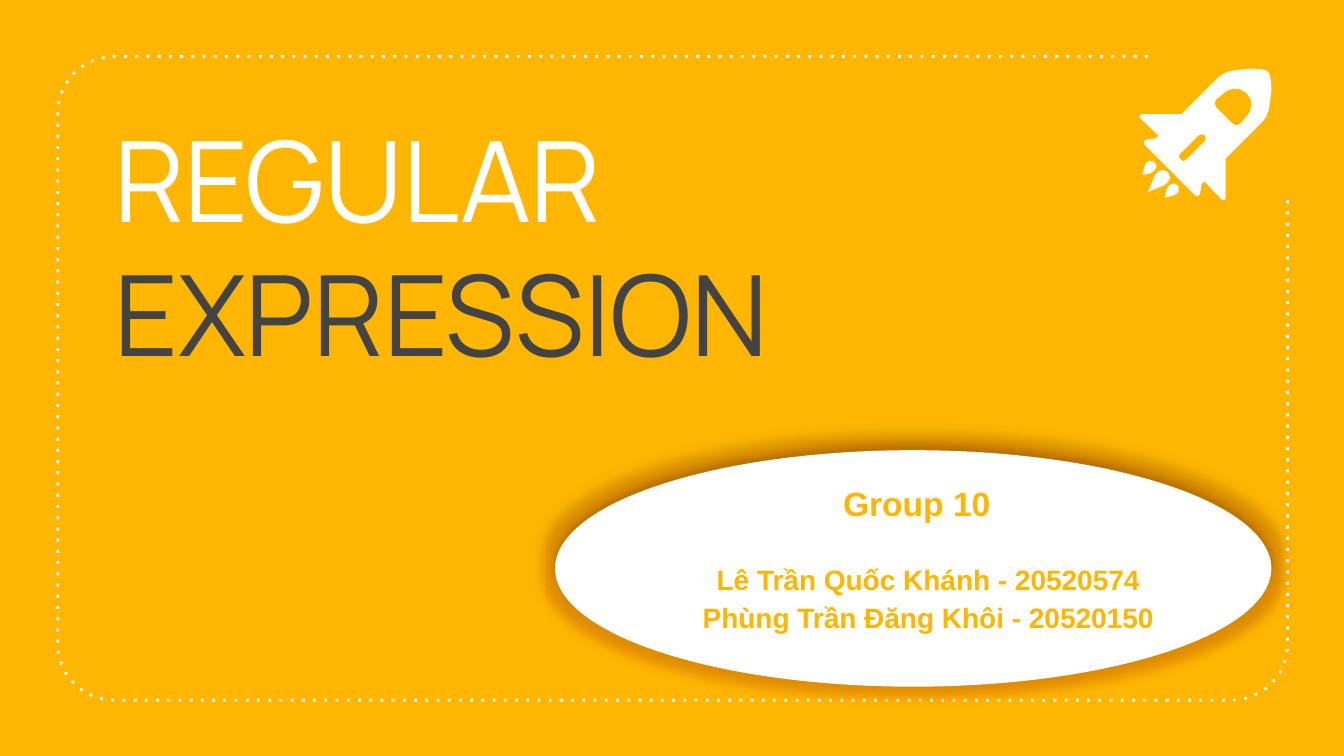
from dataclasses import dataclass
from math import cos, radians, sin

from lxml import etree
from pptx import Presentation
from pptx.dml.color import RGBColor
from pptx.enum.dml import MSO_LINE
from pptx.enum.shapes import MSO_SHAPE
from pptx.enum.text import MSO_ANCHOR, MSO_AUTO_SIZE, PP_ALIGN
from pptx.oxml.ns import qn
from pptx.util import Inches, Pt

DOT = MSO_LINE.ROUND_DOT
ELLIPSE = MSO_SHAPE.OVAL
BOTTOM, TOP = MSO_ANCHOR.BOTTOM, MSO_ANCHOR.TOP
LEFT, CENTER = PP_ALIGN.LEFT, PP_ALIGN.CENTER
NO_FIT = MSO_AUTO_SIZE.NONE

SPAN = 98
HULL = [(3.5, 56.5), (3, 55), (4, 53.5), (5, 53), (12, 52), (14, 50), (0.5, 37),
        (0, 36), (0.5, 34.5), (2, 34), (31, 34), (58, 7), (62, 4), (67, 2),
        (73, 1), (82, 0), (90, 0.5), (94, 1.5), (95, 2)]
WINDOW = [(57, 29), (56, 27), (56, 25), (57, 23), (63, 18), (66, 16), (70, 15),
          (75, 15.5), (79, 18)]
SLOT = [(30, 67), (29, 65.5), (30, 63.5), (44, 49.5), (46, 49), (48, 49.5)]
MAIN_FLAME = [(6, 92), (7, 90), (9, 85), (11, 80), (13, 77.5), (15, 76),
              (17, 75.5), (20, 76.5)]
SIDE_FLAME = [(7, 69), (5, 70), (4, 72), (3, 75), (2, 79), (3, 79), (8, 78),
              (11, 76), (12.5, 73), (12, 71), (10, 69)]


@dataclass(frozen=True)
class Theme:
    """Colours, fonts and type sizes of the deck."""
    amber: RGBColor = RGBColor(0xFF, 0xB6, 0x00)
    white: RGBColor = RGBColor(0xFF, 0xFF, 0xFF)
    grey: RGBColor = RGBColor(0x43, 0x43, 0x43)
    glow: str = "E67800"
    shadow: str = "000000"
    display: str = "Manrope"
    text: str = "Arial"
    title: int = 60
    heading: int = 18
    body: int = 15


THEME = Theme()


def inches(*values):
    """Convert a box in inches to lengths."""
    return tuple(Inches(v) for v in values)


def mirrored(half):
    """Complete a half outline by reflecting it across the rocket's axis."""
    return half + [(SPAN - y, SPAN - x) for x, y in reversed(half)]


def outline(shapes, origin, unit, contours, close=True):
    """Draw contours, given in units from the origin, as one freeform."""
    scaled = [[(x * unit, y * unit) for x, y in c] for c in contours]
    builder = shapes.build_freeform(*scaled[0][0])
    for i, points in enumerate(scaled):
        if i:
            builder.move_to(*points[0])
        builder.add_line_segments(points[1:], close=close)
    s = builder.convert_to_shape(*origin)
    s.shadow.inherit = False
    return s


def corner(cx, cy, radius, start):
    """Return a quarter turn, anticlockwise on the slide, from an angle."""
    angles = [radians(start - step * 7.5) for step in range(13)]
    return [(cx + radius * cos(a), cy + radius * sin(a)) for a in angles]


def add_frame(slide, box):
    """Draw the dotted rounded frame, open at the top right corner."""
    left, top, w, h = box
    r = 0.42
    points = [(w - 1.04, 0), *corner(r, r, r, 270), *corner(r, h - r, r, 180),
              *corner(w - r, h - r, r, 90), (w, 1.04)]
    s = outline(slide.shapes, inches(left, top), Inches(1), [points], close=False)
    s.fill.background()
    s.line.color.rgb = THEME.white
    s.line.width = Pt(1.5)
    s.line.dash_style = DOT
    s._element.spPr.find(".//" + qn("a:prstDash")).set("val", "dot")


def add_rocket(slide, box):
    """Draw the rocket and its three flames inside a square box."""
    left, top, side = box
    group = slide.shapes.add_group_shape()
    parts = [[mirrored(HULL), mirrored(WINDOW), mirrored(SLOT)],
             [mirrored(MAIN_FLAME)], [SIDE_FLAME],
             [[(SPAN - y, SPAN - x) for x, y in SIDE_FLAME]]]
    for contours in parts:
        s = outline(group.shapes, inches(left, top), Inches(side) / SPAN, contours)
        s.fill.solid()
        s.fill.fore_color.rgb = THEME.white
        s.line.fill.background()


def add_title(slide, box, words):
    """Place the title with one colour for each word."""
    s = slide.shapes.title
    s.left, s.top, s.width, s.height = inches(*box)
    tf = s.text_frame
    tf.auto_size = NO_FIT
    tf.word_wrap = True
    tf.vertical_anchor = BOTTOM
    tf.margin_left = tf.margin_right = tf.margin_top = tf.margin_bottom = Inches(0.1)
    p = tf.paragraphs[0]
    p.alignment = LEFT
    p.font.size = Pt(THEME.title)
    p.font.name = THEME.display
    for text, color in words:
        r = p.add_run()
        r.text = text
        r.font.color.rgb = color


def add_effect(parent, tag, color, alpha, **attributes):
    """Append a coloured effect to an effect list."""
    effect = etree.SubElement(parent, qn(tag), {k: str(v) for k, v in attributes.items()})
    clr = etree.SubElement(effect, qn("a:srgbClr"), val=color)
    etree.SubElement(clr, qn("a:alpha"), val=str(alpha * 1000))


def add_lines(slide, box, lines, size, inset):
    """Write centred bold lines in a text box."""
    tf = slide.shapes.add_textbox(*inches(*box)).text_frame
    tf.word_wrap = True
    tf.vertical_anchor = TOP
    tf.margin_left = tf.margin_right = Inches(0.05)
    tf.margin_top = Inches(inset)
    for i, text in enumerate(lines):
        p = tf.add_paragraph() if i else tf.paragraphs[0]
        p.text = text
        p.alignment = CENTER
        if i:
            p.space_before = Pt(2)
        p.font.size = Pt(size)
        p.font.name = THEME.text
        p.font.bold = True
        p.font.color.rgb = THEME.amber


def add_team(slide, box, heading, members):
    """Draw the glowing ellipse with the group name and its members."""
    left, top, w, h = box
    s = slide.shapes.add_shape(ELLIPSE, *inches(*box))
    s.shadow.inherit = False
    s.fill.solid()
    s.fill.fore_color.rgb = THEME.white
    s.line.fill.background()
    effects = s._element.spPr.find(qn("a:effectLst"))
    add_effect(effects, "a:glow", THEME.glow, 40, rad=Pt(11))
    add_effect(effects, "a:outerShdw", THEME.shadow, 40,
               blurRad=Pt(4), dist=Pt(3), dir=270 * 60000)
    add_lines(slide, (left + 0.184 * w, top + 0.3 * h, 0.674 * w, 0.64 * h),
              members, THEME.body, 0.31)
    add_lines(slide, (left + 0.375 * w, top + 0.11 * h, 0.26 * w, 0.23 * h),
              [heading], THEME.heading, 0.05)


def main():
    """Build the cover slide and save the deck."""
    prs = Presentation()
    prs.slide_width = Inches(10)
    prs.slide_height = prs.slide_width * 9 // 16
    slide = prs.slides.add_slide(prs.slide_layouts[5])
    slide.background.fill.solid()
    slide.background.fill.fore_color.rgb = THEME.amber
    add_frame(slide, (0.43, 0.42, 9.15, 4.79))
    add_title(slide, (0.75, 1.65, 8.5, 1.27),
              [("REGULAR ", THEME.white), ("EXPRESSION", THEME.grey)])
    add_rocket(slide, (8.48, 0.51, 0.98))
    add_team(slide, (4.13, 3.35, 5.33, 1.76), "Group 10",
             ["Lê Trần Quốc Khánh - 20520574", "Phùng Trần Đăng Khôi - 20520150"])
    prs.save("out.pptx")


if __name__ == "__main__":
    main()
